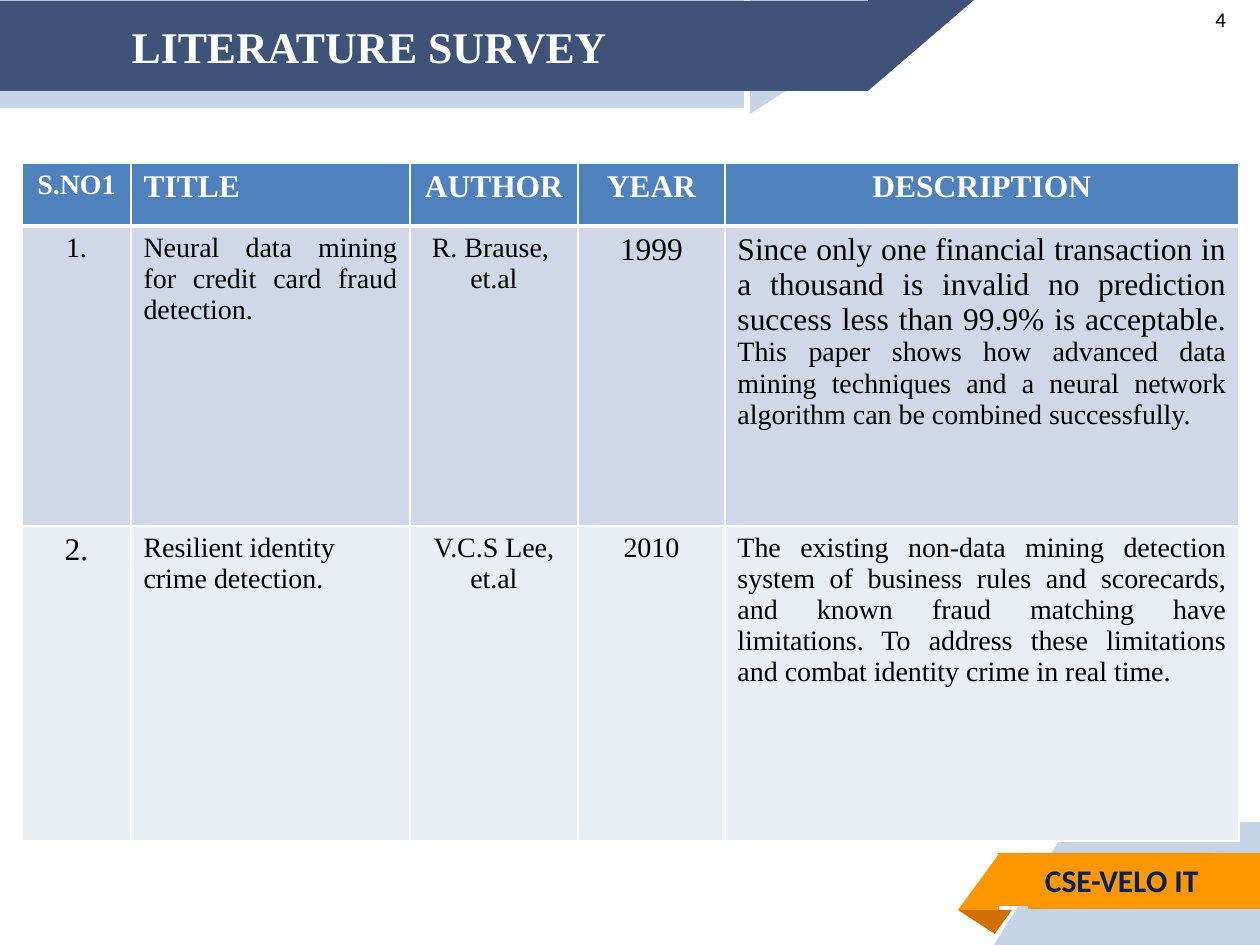
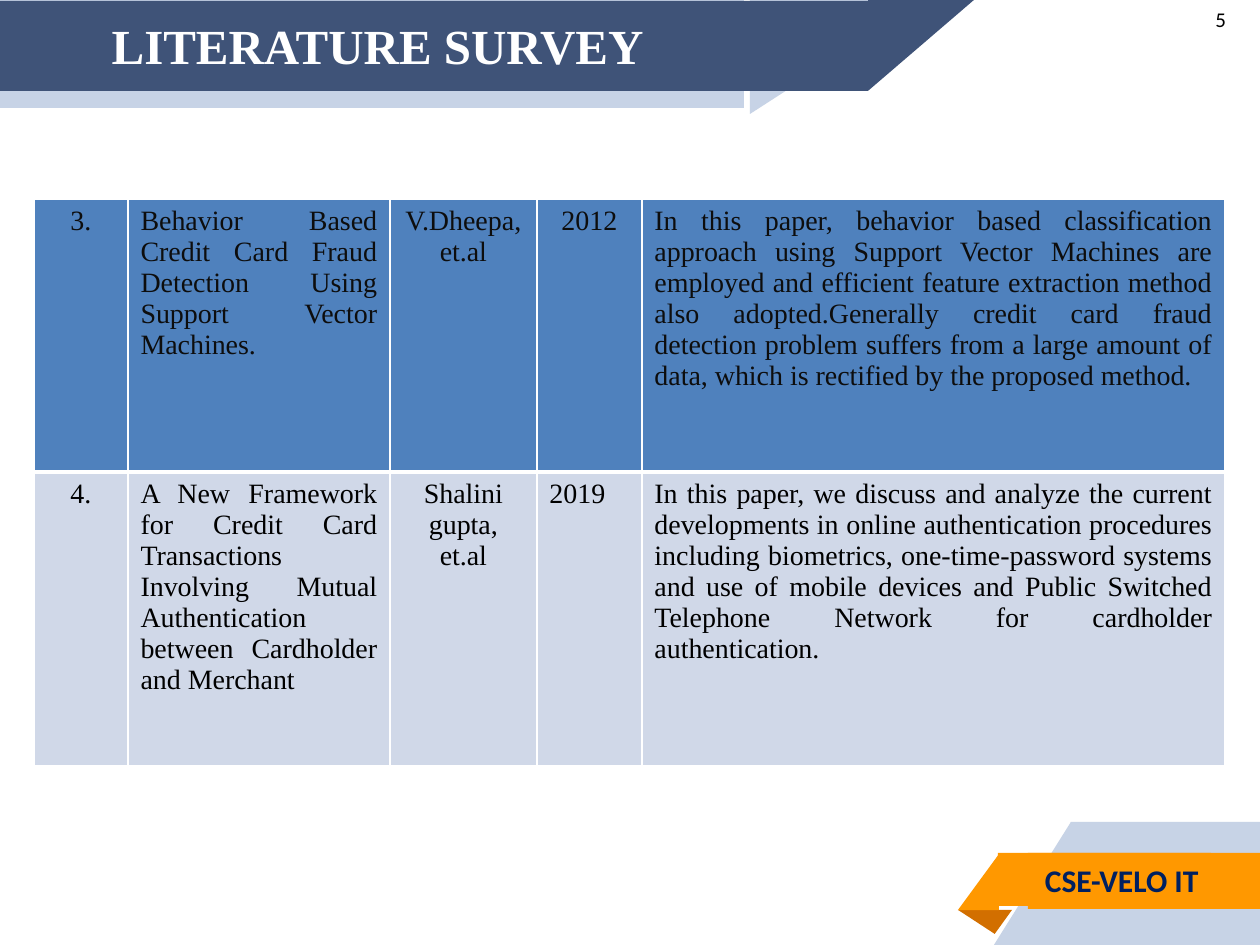
from dataclasses import dataclass

from lxml import etree
from pptx import Presentation, util as u
from pptx.dml.color import RGBColor
from pptx.enum import shapes, text
from pptx.oxml import ns

NAVY = RGBColor(0x3F, 0x53, 0x78)
PALE = RGBColor(0xC7, 0xD3, 0xE6)
ORANGE = RGBColor(0xFF, 0x98, 0x00)
RUST = RGBColor(0xD2, 0x6F, 0x00)
INK = RGBColor(0x00, 0x20, 0x60)
BLUE = RGBColor(0x4F, 0x81, 0xBD)
BAND_DARK = RGBColor(0xD0, 0xD8, 0xE8)
BAND_LIGHT = RGBColor(0xE9, 0xED, 0xF4)
WHITE = RGBColor(0xFF, 0xFF, 0xFF)
BLACK = RGBColor(0x00, 0x00, 0x00)
NEAR_BLACK = RGBColor(0x0D, 0x0D, 0x0D)

SERIF, SANS = "Times New Roman", "Calibri"
LEFT, CENTER, RIGHT, JUSTIFY = (text.PP_ALIGN.LEFT, text.PP_ALIGN.CENTER,
                                text.PP_ALIGN.RIGHT, text.PP_ALIGN.JUSTIFY)
COLUMN_ALIGNS = [CENTER, JUSTIFY, CENTER, CENTER, JUSTIFY]
TITLE = "LITERATURE SURVEY"
DEPARTMENT = "CSE-VELO IT"


@dataclass
class Entry:
    """A table cell; the tail is a closing run at 16 pt."""
    words: str
    size: int = 16
    align: text.PP_ALIGN = None
    tail: str = ""


SURVEYS = [
    {
        "number": "4",
        "title_box": (-105, 0, 948, 92), "title_size": 25,
        "origin": (22, 163),
        "columns": [109, 279, 168, 147, 514],
        "heights": [63, 300, 315],
        "row_styles": [(BLUE, WHITE, True), (BAND_DARK, BLACK, False),
                       (BAND_LIGHT, BLACK, False)],
        "rows": [
            [Entry("S.NO1"), Entry("TITLE", 18), Entry("AUTHOR", 18),
             Entry("YEAR", 18), Entry("DESCRIPTION", 18, CENTER)],
            [Entry("1."),
             Entry("Neural data mining for credit card fraud detection."),
             Entry("R. Brause, \net.al"),
             Entry("1999", 18),
             Entry("Since only one financial transaction in a thousand is invalid "
                   "no prediction success less than 99.9% is acceptable. ", 18,
                   tail="This paper shows how advanced data mining techniques and a "
                        "neural network algorithm can be combined successfully.")],
            [Entry("2.", 18),
             Entry("Resilient identity crime detection.", align=LEFT),
             Entry("V.C.S Lee,\net.al"),
             Entry("2010"),
             Entry("The existing non-data mining detection system of business rules "
                   "and scorecards, and known fraud matching have limitations. To "
                   "address these limitations and combat identity crime in real time.")],
        ],
    },
    {
        "number": "5",
        "title_box": (31, -26, 693, 141), "title_size": 28,
        "origin": (34, 199),
        "columns": [94, 262, 147, 105, 583],
        "heights": [273, 294],
        "row_styles": [(BLUE, NEAR_BLACK, False), (BAND_DARK, BLACK, False)],
        "rows": [
            [Entry("3."),
             Entry("Behavior Based Credit Card Fraud Detection Using Support Vector "
                   "Machines."),
             Entry("V.Dheepa,\net.al"),
             Entry("2012"),
             Entry("In this paper, behavior based classification approach using "
                   "Support Vector Machines are employed and efficient feature "
                   "extraction method also adopted.Generally credit card fraud "
                   "detection problem suffers from a large amount of data, which is "
                   "rectified by the proposed method.")],
            [Entry("4."),
             Entry("A New Framework for Credit Card Transactions Involving Mutual "
                   "Authentication between Cardholder and Merchant"),
             Entry("Shalini gupta,\net.al"),
             Entry("2019", align=LEFT),
             Entry("In this paper, we discuss and analyze the current developments in "
                   "online authentication procedures including biometrics, "
                   "one-time-password systems and use of mobile devices and Public "
                   "Switched Telephone Network for cardholder authentication.")],
        ],
    },
]

RECT = shapes.MSO_SHAPE.RECTANGLE
CORNER = shapes.MSO_SHAPE.RIGHT_TRIANGLE
FOLD = shapes.MSO_SHAPE.ISOSCELES_TRIANGLE
# preset, box, fill, flip
BANDS = [
    (RECT, (-4, -10, 748, 118), PALE, None),
    (CORNER, (750, -4, 183, 118), PALE, "flipV"),
    (RECT, (0, 1, 868, 90), NAVY, None),
    (CORNER, (868, 0, 106, 91), NAVY, "flipV"),
    (FOLD, (958, 910, 54, 24), RUST, "flipV"),
    (RECT, (1071, 822, 189, 123), PALE, None),
    (CORNER, (994, 822, 77, 123), PALE, "flipH"),
    (RECT, (1028, 853, 232, 56), ORANGE, None),
    (CORNER, (958, 854, 41, 56), ORANGE, "flipH"),
]
FOLD_TIP = 0.68
DEPARTMENT_BOX = (998, 853, 213, 53)
NUMBER_BOX = (1203, 0, 57, 39)


def px(length):
    return u.Emu(round(length * 914400 / 126))


def scaled(box):
    return [px(length) for length in box]


def style(font, face, size, color, bold=False):
    font.name, font.size, font.bold = face, u.Pt(size), bold
    font.color.rgb = color


def write_line(frame, words, align, *font_style):
    frame.vertical_anchor = text.MSO_ANCHOR.MIDDLE
    frame.auto_size = text.MSO_AUTO_SIZE.NONE
    frame.text = words
    paragraph = frame.paragraphs[0]
    paragraph.alignment = align
    style(paragraph.font, *font_style)


def add_band(slide, preset, box, fill, flip=None):
    band = slide.shapes.add_shape(preset, *scaled(box))
    band.shadow.inherit = False
    band.fill.solid()
    band.fill.fore_color.rgb = fill
    band.line.fill.background()
    if preset == FOLD:
        band.adjustments[0] = FOLD_TIP
    if flip:
        band._element.spPr.xfrm.set(flip, "1")
    return band


def furnish_layout(slide, layout):
    """Draw the shared bands through a slide, then move them to its layout."""
    bands = [add_band(slide, *band) for band in BANDS]
    department = add_band(slide, RECT, DEPARTMENT_BOX, ORANGE)
    write_line(department.text_frame, DEPARTMENT, RIGHT, SANS, 18, INK, True)
    for band in bands + [department]:
        layout.shapes._spTree.append(band._element)


def set_borders(cell, widths):
    """Give the cell white borders; widths are in points by side."""
    properties = cell._tc.get_or_add_tcPr()
    for index, (side, width) in enumerate(widths.items()):
        line = etree.Element(ns.qn(f"a:ln{side}"), w=str(u.Pt(width)))
        fill = etree.SubElement(line, ns.qn("a:solidFill"))
        etree.SubElement(fill, ns.qn("a:srgbClr"), val=str(WHITE))
        properties.insert(index, line)


def fill_cell(cell, entry, align, fill, color, bold):
    cell.fill.solid()
    cell.fill.fore_color.rgb = fill
    cell.text = entry.words
    for paragraph in cell.text_frame.paragraphs:
        paragraph.alignment = entry.align or align
        for run in paragraph.runs:
            style(run.font, SERIF, entry.size, color, bold)
    if entry.tail:
        tail = paragraph.add_run()
        tail.text = entry.tail
        style(tail.font, SERIF, 16, color, bold)


def add_survey_table(slide, survey):
    columns, heights = survey["columns"], survey["heights"]
    box = (*survey["origin"], sum(columns), sum(heights))
    table = slide.shapes.add_table(len(heights), len(columns), *scaled(box)).table
    table.horz_banding = table.first_row = False
    for column, width in zip(table.columns, columns):
        column.width = px(width)
    for r, (height, entries) in enumerate(zip(heights, survey["rows"])):
        table.rows[r].height = px(height)
        widths = {"L": 1, "R": 1, "T": 3 if r == 1 else 1, "B": 3 if r == 0 else 1}
        for c, (entry, align) in enumerate(zip(entries, COLUMN_ALIGNS)):
            cell = table.cell(r, c)
            fill_cell(cell, entry, align, *survey["row_styles"][r])
            set_borders(cell, widths)


def add_survey(slide, survey):
    title = slide.shapes.title
    title.left, title.top, title.width, title.height = scaled(survey["title_box"])
    write_line(title.text_frame, TITLE, CENTER, SERIF, survey["title_size"], WHITE, True)
    number = slide.shapes.add_textbox(*scaled(NUMBER_BOX))
    write_line(number.text_frame, survey["number"], LEFT, SANS, 12, BLACK)
    number.text_frame.word_wrap = True
    add_survey_table(slide, survey)


def main():
    deck = Presentation()
    deck.slide_width, deck.slide_height = px(1260), px(945)
    layout = deck.slide_layouts[5]
    slides = [deck.slides.add_slide(layout) for _ in SURVEYS]
    furnish_layout(slides[0], layout)
    for slide, survey in zip(slides, SURVEYS):
        add_survey(slide, survey)
    deck.save("out.pptx")


if __name__ == "__main__":
    main()
